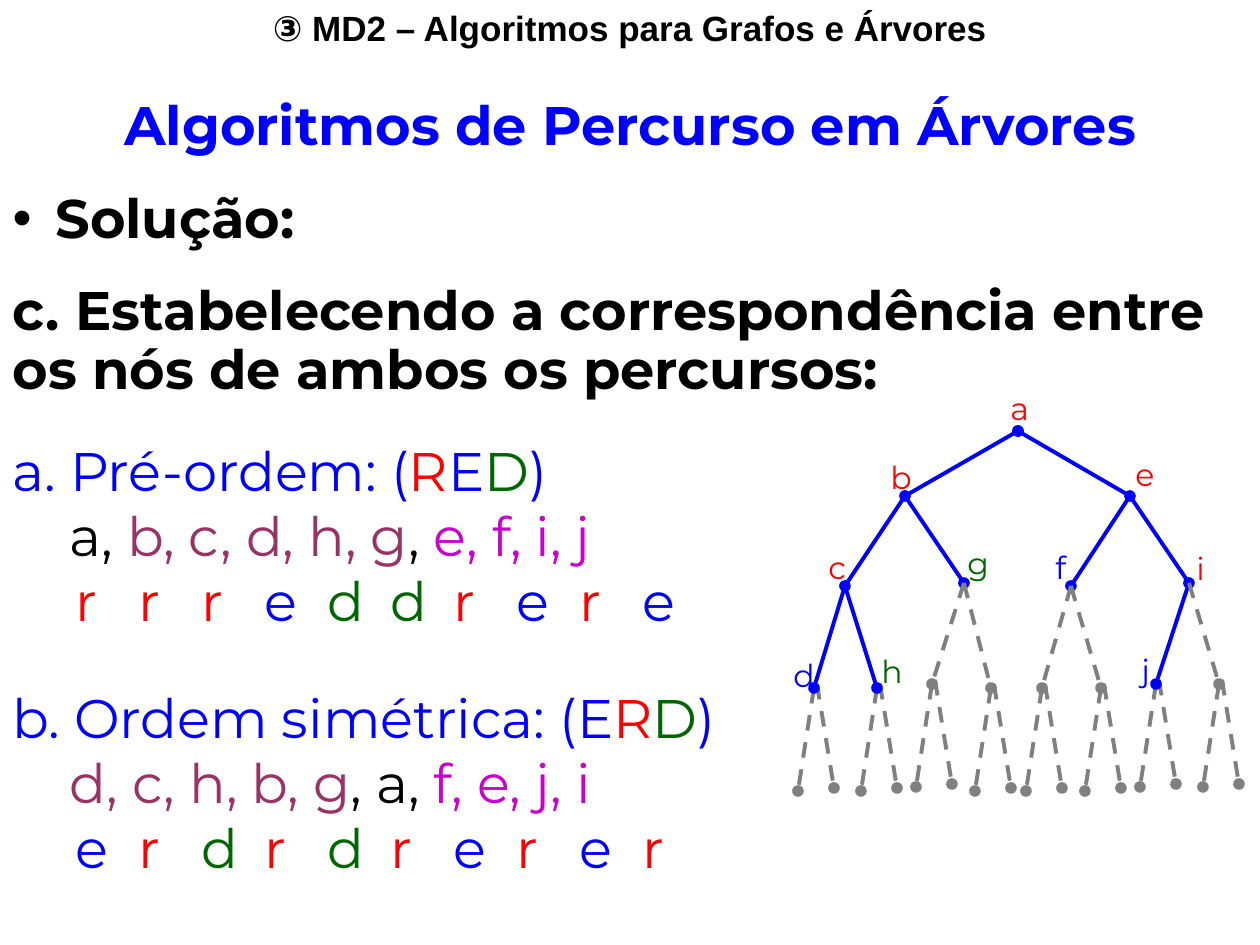
from pptx import Presentation
from pptx.dml.color import RGBColor
from pptx.enum.dml import MSO_LINE
from pptx.enum.shapes import MSO_CONNECTOR
from pptx.enum.text import MSO_ANCHOR, MSO_AUTO_SIZE, PP_ALIGN
from pptx.oxml.ns import qn
from pptx.util import Pt
from lxml.etree import SubElement

PX = 914400 // 126
W, H = 1260, 945

THEME = {
    "black": "000000", "blue": "0000FF", "red": "FF0000", "green": "006600",
    "plum": "993366", "magenta": "CC00CC", "gray": "808080",
    "font": "Montserrat", "header_font": "Arial",
    "header": 20, "text": 31, "label": 18, "line": 2.25,
}

# Content
HEADER = "③ MD2 – Algoritmos para Grafos e Árvores"
TITLE = "Algoritmos de Percurso em Árvores"
STEP = {"r": "red", "e": "blue", "d": "green"}  # root, left, right
RED = [("R", "red"), ("E", "blue"), ("D", "green"), (")", "blue")]
ERD = [("R", "red"), ("D", "green"), (")", "blue")]


def steps(letters):
    return [("\t" + c, STEP[c]) for c in letters]


# Each paragraph: runs, then layout options (px for indents and tabs, pt for before)
BODY = [
    dict(runs=[("Solução:", "black")], bold=True, spacing=0.9, bullet=True, indent=43),
    dict(runs=[("c. Estabelecendo a correspondência entre os nós de ambos os percursos:",
                "black")], bold=True, spacing=0.9, before=19.4),
    dict(runs=[("a. Pré-ordem: (", "blue")] + RED, before=20.7),
    dict(runs=[("a, ", "black"), ("b, c, d, h, g", "plum"), (", ", "black"),
               ("e, f, i, j", "magenta")], indent=57),
    dict(runs=steps("rrreddrere"),
         tabs=[57, 121, 185, 235, 296, 361, 427, 476, 538, 574]),
    dict(runs=[("b. Ordem simétrica: (E", "blue")] + ERD, before=29.3),
    dict(runs=[("d, c, h, b, g", "plum"), (", a, ", "black"),
               ("f, e, j, i", "magenta")], indent=57),
    dict(runs=steps("erdrdrerer"),
         tabs=[57, 118, 182, 247, 297, 376, 426, 487, 523, 584]),
]

# Tree nodes: centre and parent; names of one letter are the real nodes
NODES = {
    "a": (1018, 431, None),
    "b": (905, 496, "a"), "e": (1130, 496, "a"),
    "c": (845, 586, "b"), "g": (964, 583, "b"),
    "f": (1071, 586, "e"), "i": (1189, 583, "e"),
    "d": (814, 688, "c"), "h": (877, 688, "c"),
    "g1": (932, 684, "g"), "g2": (991, 688, "g"),
    "f1": (1042, 688, "f"), "f2": (1101, 688, "f"),
    "j": (1156, 684, "i"), "i2": (1219, 684, "i"),
}
LOWEST = ["d", "h", "g1", "g2", "f1", "f2", "j", "i2"]
# Start and end offsets of the two empty branches under each lowest node
BRANCHES = [(0, 0, -16, 103), (3, -4, 20, 100)]

# Labels: letter, left, top, width, colour
LABELS = [
    ("a", 998, 383, 43, "red"), ("b", 878, 452, 44, "red"),
    ("c", 816, 542, 40, "red"), ("d", 781, 650, 37, "blue"),
    ("e", 1123, 449, 43, "red"), ("f", 1043, 542, 35, "blue"),
    ("g", 955, 538, 44, "green"), ("h", 869, 646, 44, "green"),
    ("i", 1184, 543, 33, "red"), ("j", 1129, 645, 37, "blue"),
]


def color(key):
    return RGBColor.from_string(THEME[key])


def place(sp, x, y, w, h):
    sp.left, sp.top, sp.width, sp.height = (v * PX for v in (x, y, w, h))
    tf = sp.text_frame
    tf.word_wrap = True
    tf.auto_size = MSO_AUTO_SIZE.NONE
    tf.vertical_anchor = MSO_ANCHOR.TOP
    return tf


def style(r, key, size="text", font="font", bold=False):
    r.font.name, r.font.size, r.font.bold = THEME[font], Pt(THEME[size]), bold
    r.font.color.rgb = color(key)


def text_box(x, y, w, h, text, key, align=PP_ALIGN.LEFT, **look):
    tf = place(s.shapes.add_textbox(0, 0, 0, 0), x, y, w, h)
    tf.text = text
    tf.paragraphs[0].alignment = align
    style(tf.paragraphs[0].runs[0], key, **look)


def fill_paragraph(p, runs, bold=False, spacing=1.0, before=0, indent=0,
                   bullet=False, tabs=()):
    pPr = p._p.get_or_add_pPr()
    pPr.set("marL", str(indent * PX))
    pPr.set("indent", str(-indent * PX if bullet else 0))
    if bullet:
        SubElement(pPr, qn("a:buFont"), typeface="Arial")
        SubElement(pPr, qn("a:buChar"), char="•")
    else:
        SubElement(pPr, qn("a:buNone"))
    if tabs:
        tab_list = SubElement(pPr, qn("a:tabLst"))
        for pos in tabs:
            SubElement(tab_list, qn("a:tab"), pos=str(pos * PX), algn="l")
    p.alignment = PP_ALIGN.LEFT
    p.line_spacing = spacing
    p.space_before, p.space_after = Pt(before), Pt(0)
    for text, key in runs:
        r = p.add_run()
        r.text = text
        style(r, key, bold=bold)


def edge(x1, y1, x2, y2, real, head=False):
    ln = s.shapes.add_connector(MSO_CONNECTOR.STRAIGHT,
                                *(v * PX for v in (x1, y1, x2, y2)))
    ln.line.color.rgb = color("blue" if real else "gray")
    ln.line.width = Pt(THEME["line"])
    if not real:
        ln.line.dash_style = MSO_LINE.DASH
    xml = ln.line._get_or_add_ln()
    if head:
        SubElement(xml, qn("a:headEnd"), type="oval")
    SubElement(xml, qn("a:tailEnd"), type="oval")
    SubElement(ln._element.spPr, qn("a:effectLst"))


prs = Presentation()
prs.slide_width, prs.slide_height = W * PX, H * PX
s = prs.slides.add_slide(prs.slide_layouts[1])

# Header and title
text_box(0, 0, W, 55, HEADER, "black", PP_ALIGN.CENTER,
         size="header", font="header_font", bold=True)
tf = place(s.shapes.title, 0, 92, W, 72)
tf.text = TITLE
tf.paragraphs[0].alignment = PP_ALIGN.CENTER
tf.paragraphs[0].line_spacing = 0.9
style(tf.paragraphs[0].runs[0], "blue", bold=True)

# Body
tf = place(s.placeholders[1], 0, 185, W, 700)
for n, para in enumerate(BODY):
    fill_paragraph(tf.add_paragraph() if n else tf.paragraphs[0], **para)

# Tree: empty branches, then edges between nodes, then labels
for name in LOWEST:
    x, y, _ = NODES[name]
    for x1, y1, x2, y2 in BRANCHES:
        edge(x + x1, y + y1, x + x2, y + y2, real=False)
for name, (x, y, parent) in NODES.items():
    if parent:
        edge(*NODES[parent][:2], x, y, real=len(name) == 1, head=parent == "a")
for letter, x, y, w, key in LABELS:
    text_box(x, y, w, 50, letter, key, size="label")

prs.save("out.pptx")
